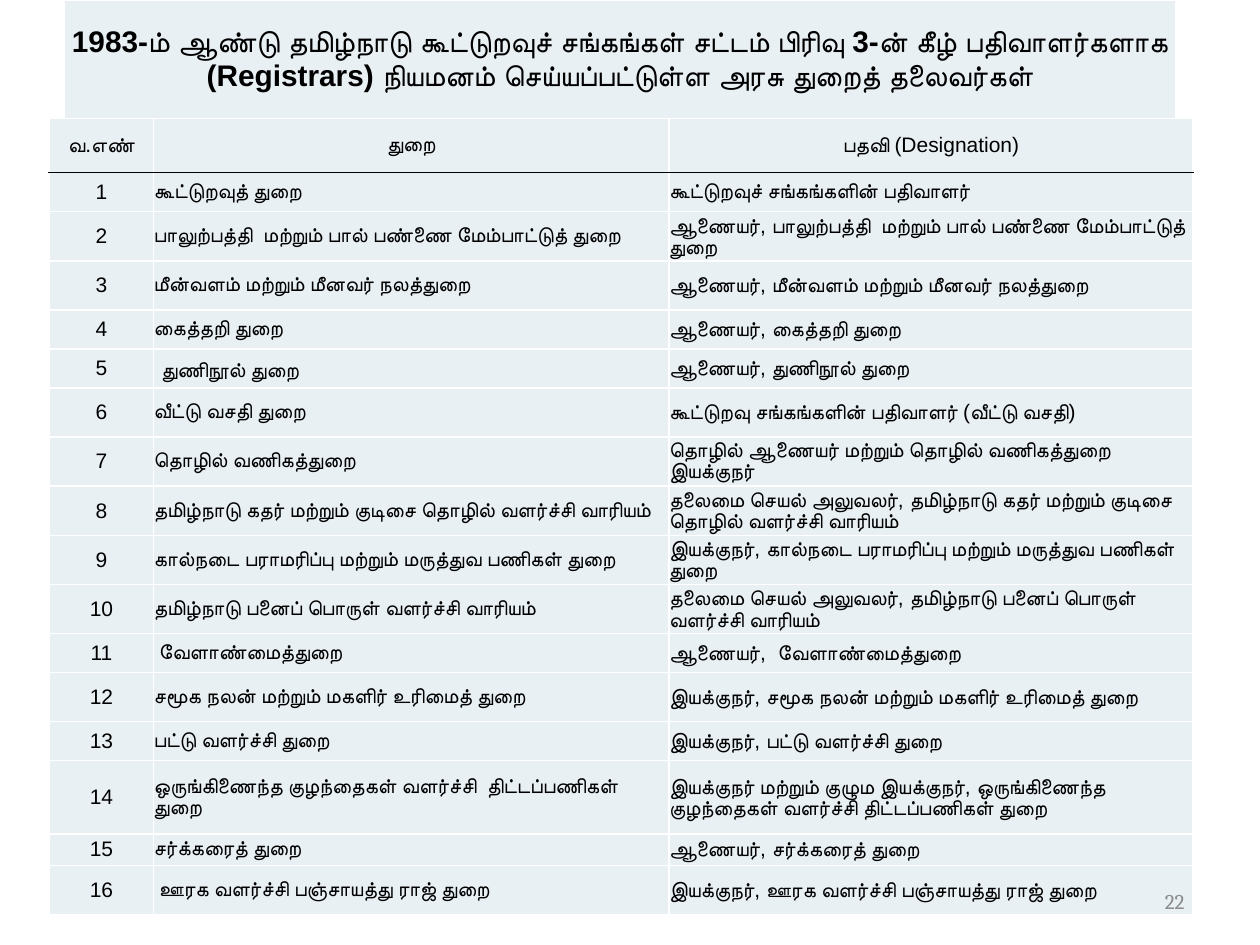
"""Build a slide listing the department heads appointed as registrars."""
from pptx import Presentation
from pptx import util as u
from pptx.dml.color import RGBColor
from pptx.enum import text
from pptx.oxml.ns import qn
from lxml import etree

COLORS = {"cell": "E8F0F4", "grid": "FFFFFF", "rule": "000000",
          "text": "000000", "number": "8C8C8C"}
TITLE = ("1983-ம் ஆண்டு தமிழ்நாடு கூட்டுறவுச் சங்கங்கள் சட்டம் பிரிவு 3-ன் கீழ் "
         "பதிவாளர்களாக (Registrars) நியமனம் செய்யப்பட்டுள்ள அரசு துறைத் தலைவர்கள்")
HEADER = ("வ.எண்", "துறை", "பதவி (Designation)")
REGISTRARS = [
    (0.31, "கூட்டுறவுத் துறை", "கூட்டுறவுச் சங்கங்களின் பதிவாளர்"),
    (0.39, "பாலுற்பத்தி  மற்றும் பால் பண்ணை மேம்பாட்டுத் துறை",
     "ஆணையர், பாலுற்பத்தி  மற்றும் பால் பண்ணை மேம்பாட்டுத் துறை"),
    (0.39, "மீன்வளம் மற்றும் மீனவர் நலத்துறை",
     "ஆணையர், மீன்வளம் மற்றும் மீனவர் நலத்துறை"),
    (0.31, "கைத்தறி துறை", "ஆணையர், கைத்தறி துறை"),
    (0.31, "துணிநூல் துறை", "ஆணையர், துணிநூல் துறை"),
    (0.39, "வீட்டு வசதி துறை", "கூட்டுறவு சங்கங்களின் பதிவாளர் (வீட்டு வசதி)"),
    (0.39, "தொழில் வணிகத்துறை",
     "தொழில் ஆணையர் மற்றும் தொழில் வணிகத்துறை இயக்குநர்"),
    (0.39, "தமிழ்நாடு கதர் மற்றும் குடிசை தொழில் வளர்ச்சி வாரியம்",
     "தலைமை செயல் அலுவலர், தமிழ்நாடு கதர் மற்றும் குடிசை தொழில் வளர்ச்சி வாரியம்"),
    (0.39, "கால்நடை பராமரிப்பு மற்றும் மருத்துவ பணிகள் துறை",
     "இயக்குநர், கால்நடை பராமரிப்பு மற்றும் மருத்துவ பணிகள் துறை"),
    (0.39, "தமிழ்நாடு பனைப் பொருள் வளர்ச்சி வாரியம்",
     "தலைமை செயல் அலுவலர், தமிழ்நாடு பனைப் பொருள் வளர்ச்சி வாரியம்"),
    (0.31, " வேளாண்மைத்துறை", "ஆணையர்,  வேளாண்மைத்துறை"),
    (0.39, "சமூக நலன் மற்றும் மகளிர் உரிமைத் துறை",
     "இயக்குநர், சமூக நலன் மற்றும் மகளிர் உரிமைத் துறை"),
    (0.31, "பட்டு வளர்ச்சி துறை", "இயக்குநர், பட்டு வளர்ச்சி துறை"),
    (0.58, "ஒருங்கிணைந்த குழந்தைகள் வளர்ச்சி  திட்டப்பணிகள் துறை",
     "இயக்குநர் மற்றும் குழும இயக்குநர், ஒருங்கிணைந்த குழந்தைகள் வளர்ச்சி "
     "திட்டப்பணிகள் துறை"),
    (0.25, "சர்க்கரைத் துறை", "ஆணையர், சர்க்கரைத் துறை"),
    (0.39, " ஊரக வளர்ச்சி பஞ்சாயத்து ராஜ் துறை",
     "இயக்குநர், ஊரக வளர்ச்சி பஞ்சாயத்து ராஜ் துறை"),
]
WIDE_SPACE_ROW = 5


def write(tf, content, size=12, font="Arial", color="text", bold=False,
          align=text.PP_ALIGN.LEFT):
    p = tf.paragraphs[0]
    p.alignment = align
    r = p.add_run()
    r.text = content
    r.font.size = u.Pt(size)
    r.font.name = font
    r.font.bold = bold
    r.font.color.rgb = RGBColor.from_string(COLORS[color])


def set_borders(cell, **sides):
    tc_pr = cell._tc.get_or_add_tcPr()
    for i, side in enumerate("LRTB"):
        ln = etree.Element(qn(f"a:ln{side}"), w=str(u.Pt(1)))
        fill = etree.SubElement(ln, qn("a:solidFill"))
        etree.SubElement(fill, qn("a:srgbClr"), val=COLORS[sides.get(side, "grid")])
        tc_pr.insert(i, ln)


def format_cell(cell, **sides):
    cell.margin_left = cell.margin_right = cell.margin_top = cell.margin_bottom = 0
    cell.vertical_anchor = text.MSO_ANCHOR.MIDDLE
    cell.fill.solid()
    cell.fill.fore_color.rgb = RGBColor.from_string(COLORS["cell"])
    set_borders(cell, **sides)


def add_grid(s, left, top, widths, heights):
    table = s.shapes.add_table(
        len(heights), len(widths), u.Inches(left), u.Inches(top),
        u.Inches(sum(widths)), u.Inches(sum(heights))).table
    table.first_row = table.horz_banding = False
    for column, width in zip(table.columns, widths):
        column.width = u.Inches(width)
    for row, height in zip(table.rows, heights):
        row.height = u.Inches(height)
    return table


def add_registrars(s):
    heights = [0.43] + [height for height, *_ in REGISTRARS]
    table = add_grid(s, 0.39, 0.94, [0.83, 4.09, 4.16], heights)
    rows = [HEADER] + [(str(n), dept, post)
                       for n, (_, dept, post) in enumerate(REGISTRARS, 1)]
    rules = {0: {"B": "rule"}, 1: {"T": "rule"}}
    for i, row in enumerate(rows):
        for j, content in enumerate(row):
            cell = table.cell(i, j)
            format_cell(cell, **rules.get(i, {}))
            centred = i == 0 or j == 0
            if (i, j) == (WIDE_SPACE_ROW, 1):
                write(cell.text_frame, " ", size=18)
            write(cell.text_frame, content,
                  align=text.PP_ALIGN.CENTER if centred else text.PP_ALIGN.LEFT)


def add_title(s):
    cell = add_grid(s, 0.51, 0, [8.82], [0.94]).cell(0, 0)
    format_cell(cell)
    write(cell.text_frame, TITLE, size=17, bold=True, align=text.PP_ALIGN.CENTER)


def add_page_number(s):
    tf = s.shapes.add_textbox(u.Inches(7.17), u.Inches(6.95),
                              u.Inches(2.33), u.Inches(0.4)).text_frame
    tf.word_wrap = True
    tf.vertical_anchor = text.MSO_ANCHOR.MIDDLE
    write(tf, "22", font="Cambria", color="number", align=text.PP_ALIGN.RIGHT)


def main():
    prs = Presentation()
    prs.slide_width, prs.slide_height = u.Inches(10), u.Inches(7.5)
    s = prs.slides.add_slide(prs.slide_layouts[6])
    add_registrars(s)
    add_title(s)
    add_page_number(s)
    prs.save("out.pptx")


if __name__ == "__main__":
    main()
